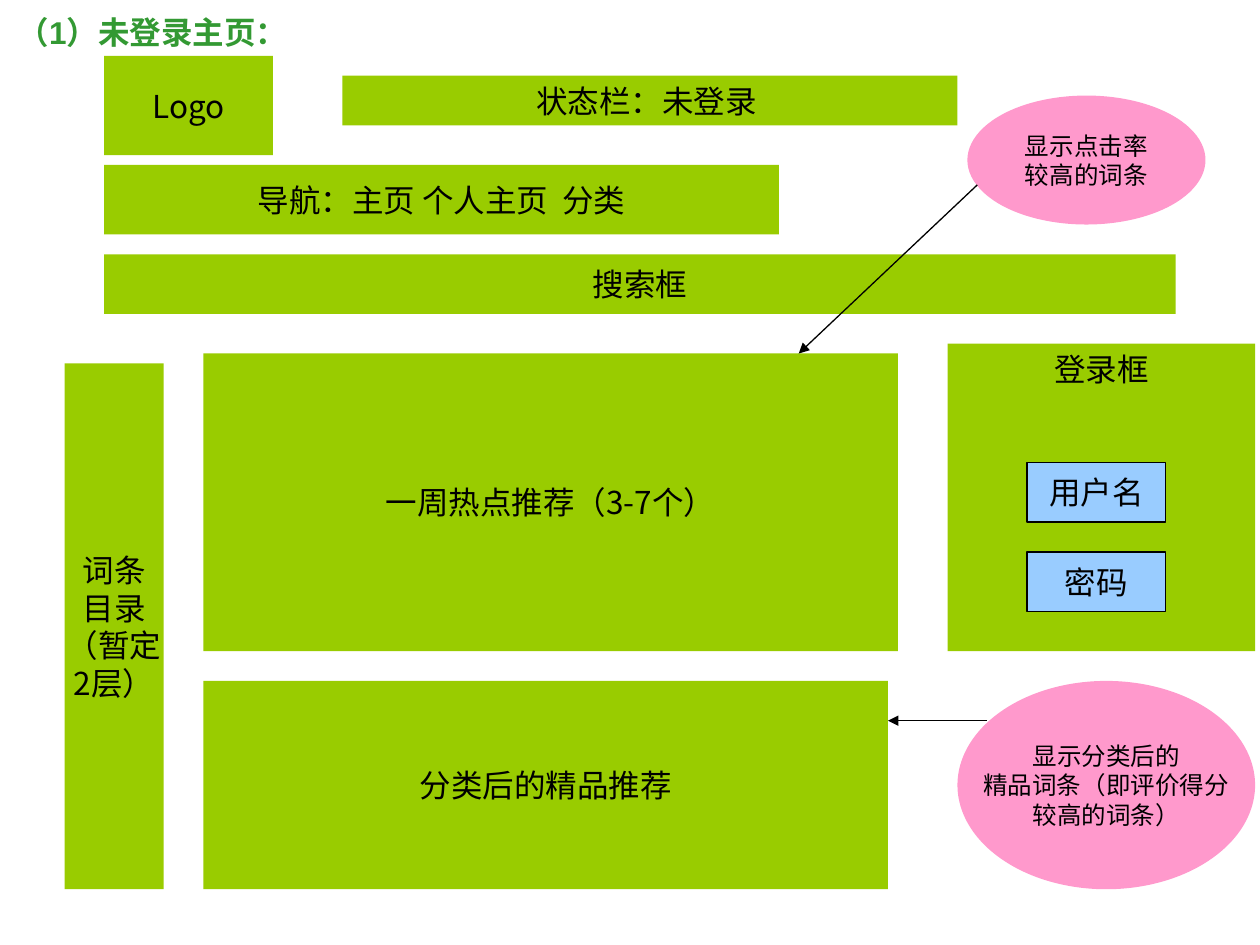
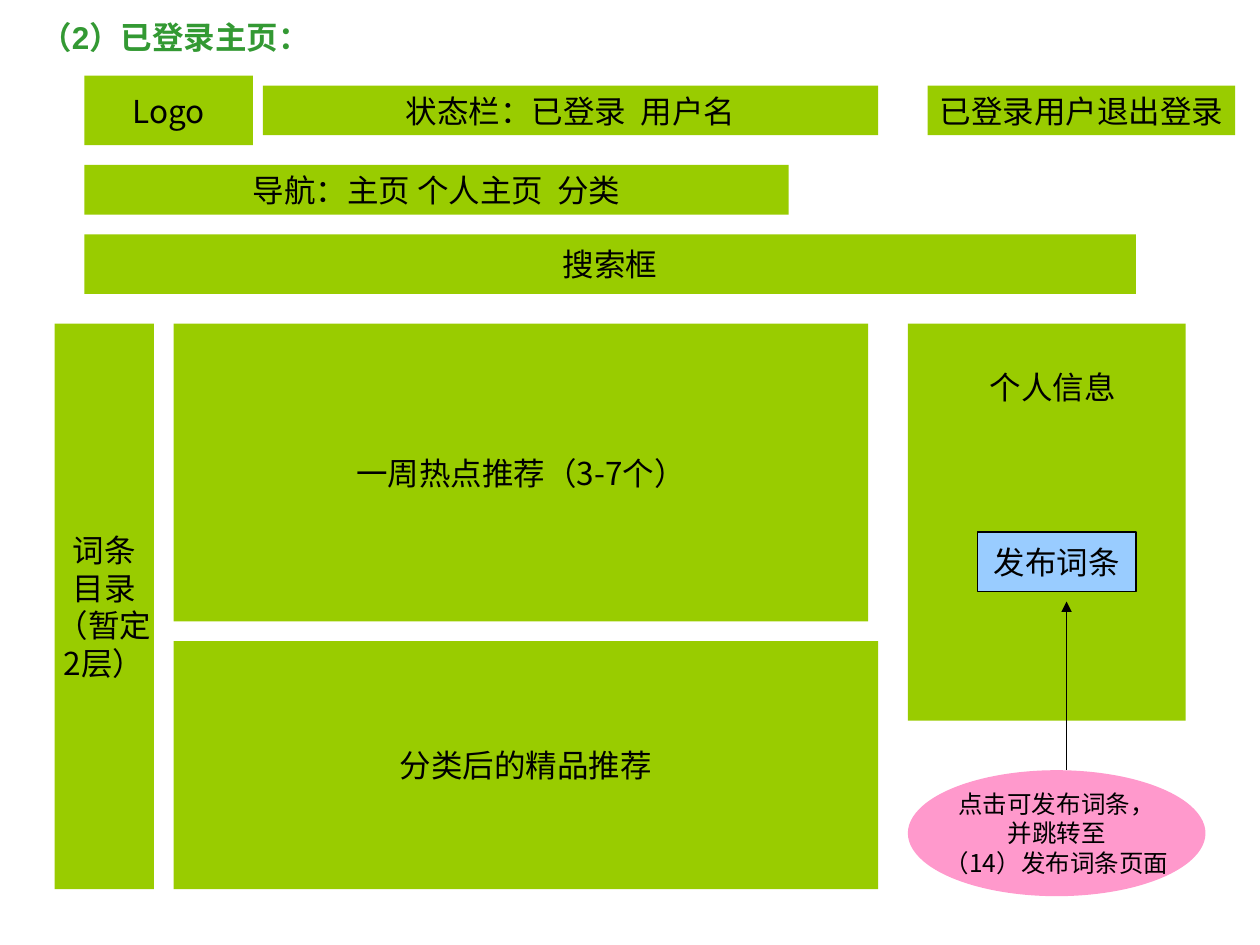
"""Builds two wireframe slides: the home page before and after login."""
import lxml.etree
import pptx
import pptx.dml.color
import pptx.enum.shapes
import pptx.enum.text
import pptx.oxml.ns
import pptx.util

GREEN = pptx.dml.color.RGBColor(0x99, 0xCC, 0x00)
BLUE = pptx.dml.color.RGBColor(0x99, 0xCC, 0xFF)
PINK = pptx.dml.color.RGBColor(0xFF, 0x99, 0xCC)
TITLE_GREEN = pptx.dml.color.RGBColor(0x33, 0x99, 0x33)
BLACK = pptx.dml.color.RGBColor(0x00, 0x00, 0x00)
LATIN, CJK = "Arial", "Noto Sans CJK SC"

UNIT = pptx.util.Mm(2)
LEFT, TOP = pptx.util.Inches(0.04), pptx.util.Inches(0.05)
HAIRLINE = pptx.util.Pt(0.75)

ALIGN = pptx.enum.text.PP_ALIGN
ANCHOR = pptx.enum.text.MSO_ANCHOR
GROW = pptx.enum.text.MSO_AUTO_SIZE.SHAPE_TO_FIT_TEXT
RECTANGLE = pptx.enum.shapes.MSO_SHAPE.RECTANGLE
OVAL = pptx.enum.shapes.MSO_SHAPE.OVAL
qn = pptx.oxml.ns.qn


def write(target, text, size=18, font=LATIN, color=BLACK, bold=False,
          align=ALIGN.CENTER, anchor=ANCHOR.MIDDLE, grow=False):
    frame = target.text_frame
    frame.text = text
    frame.word_wrap = grow
    frame.vertical_anchor = anchor
    frame.margin_left = frame.margin_right = pptx.util.Inches(0.1)
    frame.margin_top = frame.margin_bottom = pptx.util.Inches(0.05)
    if grow:
        frame.auto_size = GROW
    for paragraph in frame.paragraphs:
        paragraph.alignment = align
        for run in paragraph.runs:
            run.font.size = pptx.util.Pt(size)
            run.font.name = font
            run.font.bold = bold
            run.font.color.rgb = color
            lxml.etree.SubElement(run._r.get_or_add_rPr(), qn("a:ea"), typeface=CJK)


def place(column, row):
    return LEFT + round(column * UNIT), TOP + round(row * UNIT)


BLOCK = dict(outline=RECTANGLE, fill=GREEN)
BUTTON = dict(outline=RECTANGLE, fill=BLUE)
CALLOUT = dict(outline=OVAL, fill=PINK)
NOTE = dict(size=14, font=CJK)
MIXED = dict(font=CJK)
HEADING = dict(anchor=ANCHOR.TOP)
GROWING = dict(anchor=ANCHOR.TOP, align=ALIGN.LEFT, grow=True)

NAVIGATION = "导航：主页 个人主页  分类"
SEARCH = "搜索框"
HOT = "一周热点推荐（3-7个）"
BEST = "分类后的精品推荐"
DIRECTORY = "词条\n目录\n（暂定\n2层）"

pages = [
    dict(
        title="（1）未登录主页：",
        title_frame=(0, 0, 32, 5),
        parts=[
            ("Logo", (10, 5, 17, 10), BLOCK, MIXED),
            (SEARCH, (10, 25, 108, 6), BLOCK, {}),
            ("状态栏：未登录 ", (34, 7, 62, 5), BLOCK, MIXED),
            (NAVIGATION, (10, 16, 68, 7), BLOCK, MIXED),
            ("登录框", (95, 34, 31, 31), BLOCK, HEADING),
            ("用户名", (103, 46, 14, 6), BUTTON, {}),
            ("密码", (103, 55, 14, 6), BUTTON, {}),
            (HOT, (20, 35, 70, 30), BLOCK, MIXED),
            (BEST, (20, 68, 69, 21), BLOCK, {}),
            (DIRECTORY, (6, 36, 10, 53), BLOCK, MIXED),
            ("显示分类后的\n精品词条（即评价得分\n较高的词条）", (96, 68, 30, 21), CALLOUT, NOTE),
            ("显示点击率\n较高的词条", (97, 9, 24, 13), CALLOUT, NOTE),
        ],
        arrows=[((99, 72), (89, 72)), ((98, 18), (80, 35))],
    ),
    dict(
        title="（2）已登录主页：",
        title_frame=(2.3, 0.5, 34.8, 5),
        parts=[
            ("Logo", (8, 7, 17, 7), BLOCK, MIXED),
            (SEARCH, (8, 23, 106, 6), BLOCK, {}),
            ("状态栏：已登录  用户名", (26, 8, 62, 5), BLOCK, MIXED),
            ("已登录用户退出登录", (93, 8, 31, 5), BLOCK, {}),
            (NAVIGATION, (8, 16, 71, 5), BLOCK, MIXED),
            (HOT, (17, 32, 70, 30), BLOCK, MIXED),
            (BEST, (17, 64, 71, 25), BLOCK, {}),
            (DIRECTORY, (5, 32, 10, 57), BLOCK, MIXED),
            ("", (91, 32, 28, 40), BLOCK, {}),
            ("个人信息", (98, 35.8, 16.9, 5), BLOCK, GROWING),
            ("发布词条", (98, 53, 16, 6), BUTTON, {}),
            ("点击可发布词条，\n并跳转至\n（14）发布词条页面", (91, 77, 30, 12.7), CALLOUT, NOTE),
        ],
        arrows=[((107, 77), (107, 60))],
    ),
]

deck = pptx.Presentation()
deck.slide_width, deck.slide_height = pptx.util.Inches(10), pptx.util.Inches(7.5)

for page in pages:
    slide = deck.slides.add_slide(deck.slide_layouts[5])
    column, row, columns, rows = page["title_frame"]
    heading = slide.shapes.title
    heading.left, heading.top = place(column, row)
    heading.width, heading.height = round(columns * UNIT), round(rows * UNIT)
    write(heading, page["title"], color=TITLE_GREEN, bold=True, **GROWING)

    for text, (column, row, columns, rows), look, text_format in page["parts"]:
        part = slide.shapes.add_shape(look["outline"], *place(column, row),
                                      round(columns * UNIT), round(rows * UNIT))
        part.shadow.inherit = False
        part.fill.solid()
        part.fill.fore_color.rgb = look["fill"]
        if look is BUTTON:
            part.line.color.rgb = BLACK
            part.line.width = HAIRLINE
        else:
            part.line.fill.background()
        if text:
            write(part, text, **text_format)

    for start, end in page["arrows"]:
        arrow = slide.shapes.add_connector(pptx.enum.shapes.MSO_CONNECTOR.STRAIGHT,
                                           *place(*start), *place(*end))
        arrow.line.color.rgb = BLACK
        arrow.line.width = HAIRLINE
        properties = arrow._element.spPr
        lxml.etree.SubElement(properties.find(qn("a:ln")), qn("a:tailEnd"), type="triangle")
        lxml.etree.SubElement(properties, qn("a:effectLst"))

deck.save("out.pptx")
